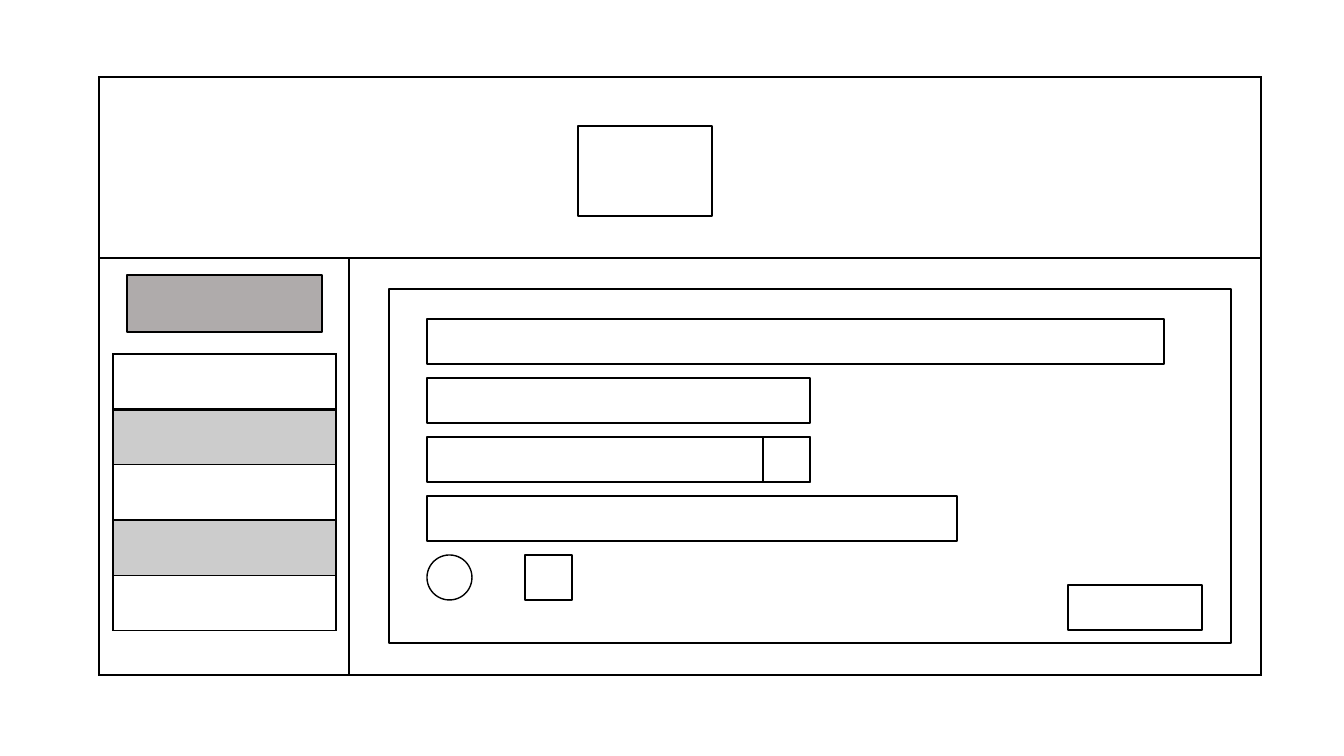
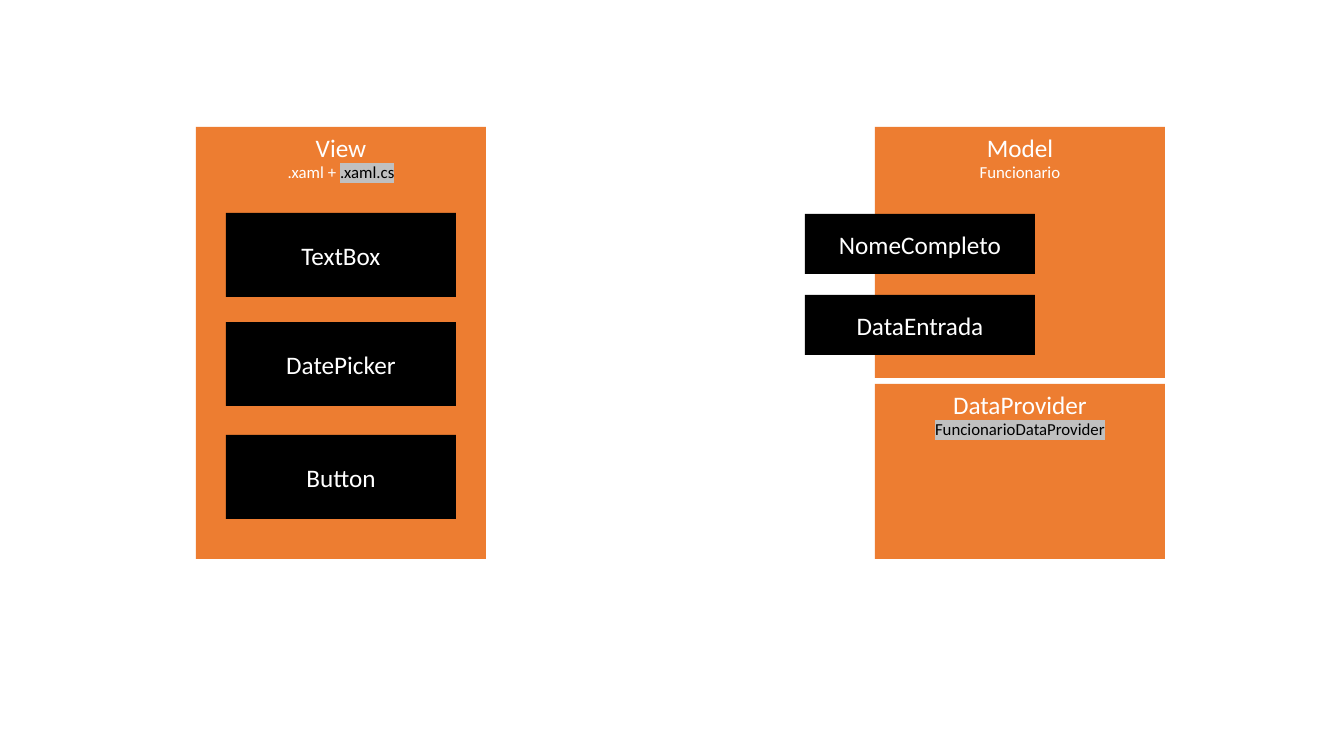
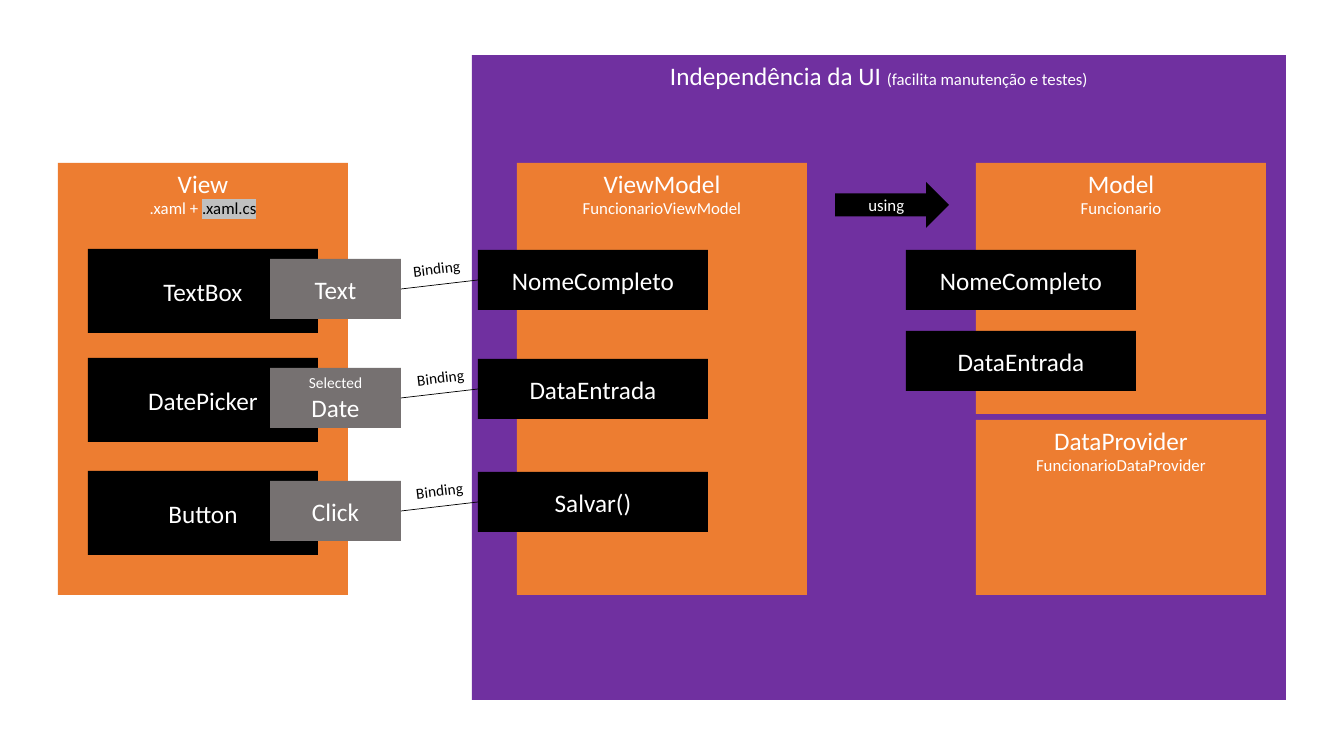
from pptx import Presentation
from pptx import util as u
from pptx.dml import color
from pptx.enum import shapes, text
from pptx.oxml import parse_xml, ns

PX = 12192000 / 1344
FONT = "Calibri"
BLACK, WHITE, ORANGE, PURPLE = "000000", "FFFFFF", "ED7D31", "7030A0"
GRAY, TAG, MARK = "AFABAB", "767171", "C0C0C0"
KIND = shapes.MSO_SHAPE
WIDE, PROP, HEAD = 290, (230, 60), 18
TOPS = (86, 195, 308)  # control rows within a full panel
MARKED = (".xaml + ", (".xaml.cs", {"mark": MARK}))


def px(*nums):
    return [u.Emu(round(n * PX)) for n in nums]


def rgb(code):
    return color.RGBColor.from_string(code)


def xml(tag, body, attrs=""):
    return parse_xml(f"<a:{tag} {ns.nsdecls('a')} {attrs}>{body}</a:{tag}>")


def solid(code, alpha=100):
    return (f'<a:solidFill><a:srgbClr val="{code}">'
            f'<a:alpha val="{alpha * 1000}"/></a:srgbClr></a:solidFill>')


# Text: each line is (size, run, run...); a run is a string or (string, marks)
def write(frame, lines, ink=WHITE, align=text.PP_ALIGN.CENTER):
    for i, (size, *runs) in enumerate(lines):
        para = frame.add_paragraph() if i else frame.paragraphs[0]
        para.alignment = align
        font = para.font
        font.name, font.size = FONT, u.Pt(size)
        font.color.rgb = rgb(ink)
        for part in runs:
            words, look = (part, {}) if isinstance(part, str) else part
            run = para.add_run()
            run.text = words
            if "size" in look:
                run.font.size = u.Pt(look["size"])
            if "mark" in look:
                run.font.color.rgb = rgb(BLACK)
                run.font._element.append(
                    xml("highlight", f'<a:srgbClr val="{look["mark"]}"/>'))


def block(slide, box, fill=None, line=None, lines=(), top=False,
          kind=KIND.RECTANGLE):
    shape = slide.shapes.add_shape(kind, *px(*box))
    shape.shadow.inherit = False
    if fill:
        shape.fill.solid()
        shape.fill.fore_color.rgb = rgb(fill)
    else:
        shape.fill.background()
    if line:
        shape.line.color.rgb = rgb(line)
        shape.line.width = u.Pt(1)
    else:
        shape.line.fill.background()
    anchor = text.MSO_ANCHOR
    shape.text_frame.vertical_anchor = anchor.TOP if top else anchor.MIDDLE
    write(shape.text_frame, lines)
    return shape


def outline(slide, *box, kind=KIND.RECTANGLE, fill=None):
    return block(slide, box, fill, BLACK, kind=kind)


# Bordered table with no style fill; shaded rows are a light tint of black
def grid(slide, x, y, cols, rows, shaded=(), thick=()):
    table = slide.shapes.add_table(
        len(rows), len(cols), *px(x, y, sum(cols), sum(rows))).table
    table.first_row = table.horz_banding = False
    for col, size in zip(table.columns, px(*cols)):
        col.width = size
    for r, (row, size) in enumerate(zip(table.rows, px(*rows))):
        row.height = size
        for cell in row.cells:
            props = cell._tc.get_or_add_tcPr()
            for side in "LRTB":
                wide = 2 if side == "B" and r in thick else 1
                props.append(xml(f"ln{side}", solid(BLACK),
                                 f'w="{u.Pt(wide)}"'))
            if r in shaded:
                props.append(xml("solidFill", f'<a:srgbClr val="{BLACK}">'
                                 '<a:alpha val="20000"/></a:srgbClr>'))
            else:
                cell.fill.background()
    return table


# Wireframe regions
def menu(slide, x, y):
    outline(slide, x + 14, y, 195, 57, fill=GRAY)
    grid(slide, x, y + 79, [223], [277 / 5] * 5, shaded=(1, 3), thick=(0,))


def form(slide, x, y):
    outline(slide, x, y, 842, 354)
    left, first, step, high = x + 38, y + 30, 59, 45
    for i, wide in enumerate((737, 383, 383, 530)):
        outline(slide, left, first + i * step, wide, high)
    outline(slide, x + 679, y + 296, 134, high)
    outline(slide, left + 336, first + 2 * step, 47, high)
    last = first + 4 * step
    outline(slide, left, last, high, high, kind=KIND.OVAL)
    outline(slide, left + 98, last, 47, high)


def wireframe(slide):
    frame = grid(slide, 99, 77, [250, 912], [181, 417])
    frame.cell(0, 0).merge(frame.cell(0, 1))
    menu(slide, 113, 275)
    form(slide, 389, 289)
    outline(slide, 578, 126, 134, 90)


# Diagram regions
def panel(slide, x, y, high, name, *sub):
    block(slide, (x, y, WIDE, high), ORANGE, top=True,
          lines=[(HEAD, name), (12, *sub)])


def prop(slide, x, y, name):
    return block(slide, (x, y, *PROP), BLACK, lines=[(HEAD, name)])


def view(slide, x, y):
    panel(slide, x, y, 432, "View", *MARKED)
    for top, name in zip(TOPS, ("TextBox", "DatePicker", "Button")):
        block(slide, (x + 30, y + top, 230, 84), BLACK, lines=[(HEAD, name)])


def tags(slide, x, y):
    names = ([(HEAD, "Text")], [(11, "Selected"), (HEAD, "Date")],
             [(HEAD, "Click")])
    return [block(slide, (x + 212, y + top + 10, 131, 60), TAG, lines=name)
            for top, name in zip(TOPS, names)]


def model(slide, x, y, source):
    panel(slide, x, y, 251, "Model", "Funcionario")
    for i, name in enumerate(("NomeCompleto", "DataEntrada")):
        prop(slide, x - 70, y + 87 + i * 81, name)
    panel(slide, x, y + 257, 175, "DataProvider", source)


def middle(slide, x, y):
    panel(slide, x, y, 432, "ViewModel", "FuncionarioViewModel")
    names = ("NomeCompleto", "DataEntrada", "Salvar()")
    return [prop(slide, x - 39, y + top + 1, name)
            for top, name in zip(TOPS, names)]


def bind(slide, tag, goal, x, y):
    line = slide.shapes.add_connector(shapes.MSO_CONNECTOR.STRAIGHT, 0, 0, 0, 0)
    line.begin_connect(tag, 3)
    line.end_connect(goal, 1)
    line.line.color.rgb = rgb(BLACK)
    line.line.width = u.Pt(0.5)
    line._element.spPr.append(xml("effectLst", ""))
    label = slide.shapes.add_textbox(*px(x, y, 68, 29))
    label.rotation = 353.4
    label.text_frame.word_wrap = False
    label.text_frame.auto_size = text.MSO_AUTO_SIZE.SHAPE_TO_FIT_TEXT
    write(label.text_frame, [(11, "Binding")], BLACK, text.PP_ALIGN.LEFT)


def simple(slide):
    view(slide, 196, 127)
    model(slide, 875, 127, ("FuncionarioDataProvider", {"mark": MARK}))


def layered(slide):
    y = 163
    block(slide, (472, 55, 814, 645), PURPLE, top=True, lines=[
        (HEAD, "Independência da UI ",
         ("(facilita manutenção e testes)", {"size": 12}))])
    view(slide, 58, y)
    ends = tags(slide, 58, y)
    model(slide, 976, y, "FuncionarioDataProvider")
    goals = middle(slide, 517, y)
    for tag, goal, x, top in zip(ends, goals, (403, 407, 406), TOPS):
        bind(slide, tag, goal, x, y + top + 5)
    block(slide, (835, 182, 114, 46), BLACK, lines=[(12, "using")],
          kind=KIND.RIGHT_ARROW)


deck = Presentation()
deck.slide_width, deck.slide_height = px(1344, 756)
for draw in (wireframe, simple, layered):
    draw(deck.slides.add_slide(deck.slide_layouts[6]))
deck.save("out.pptx")
